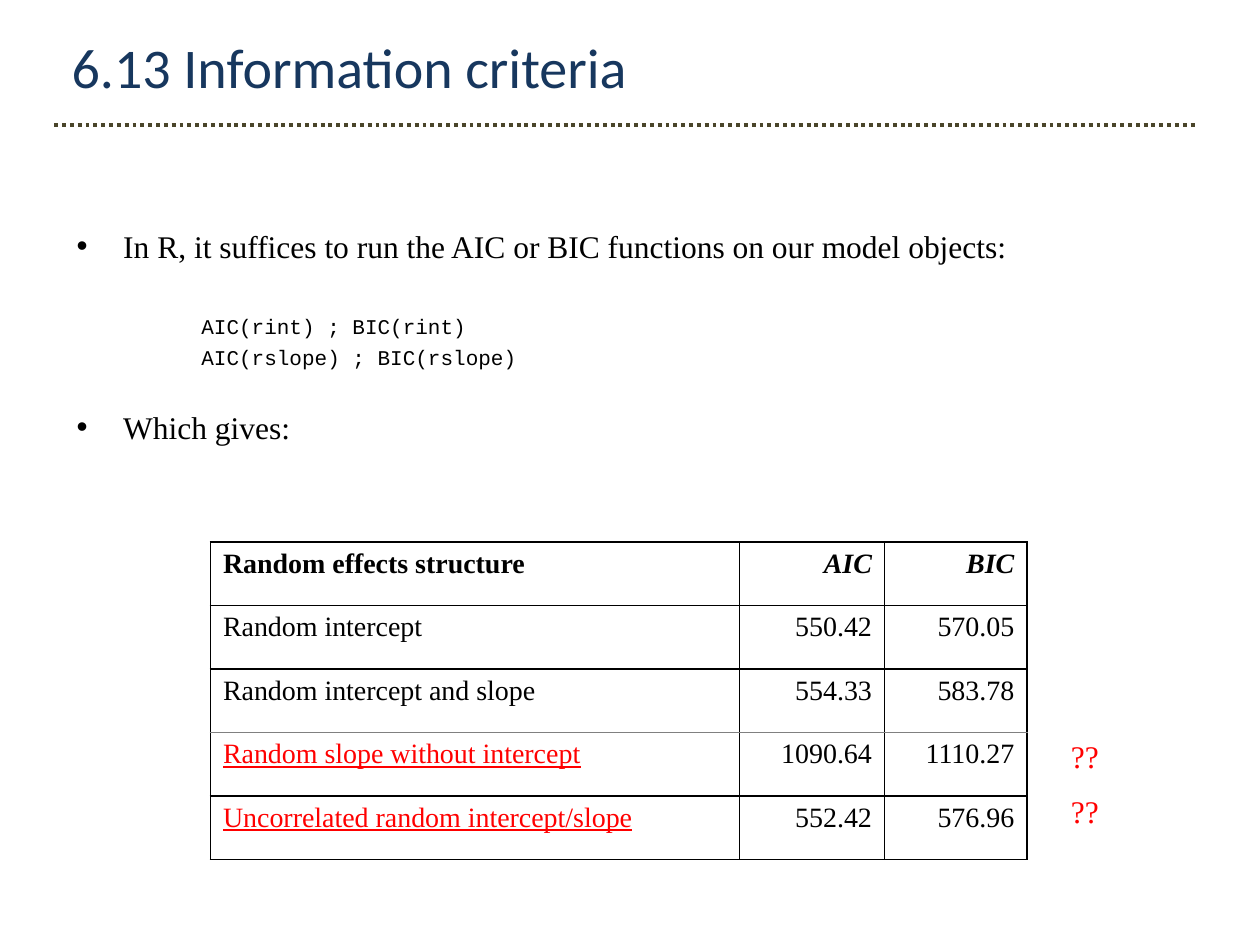
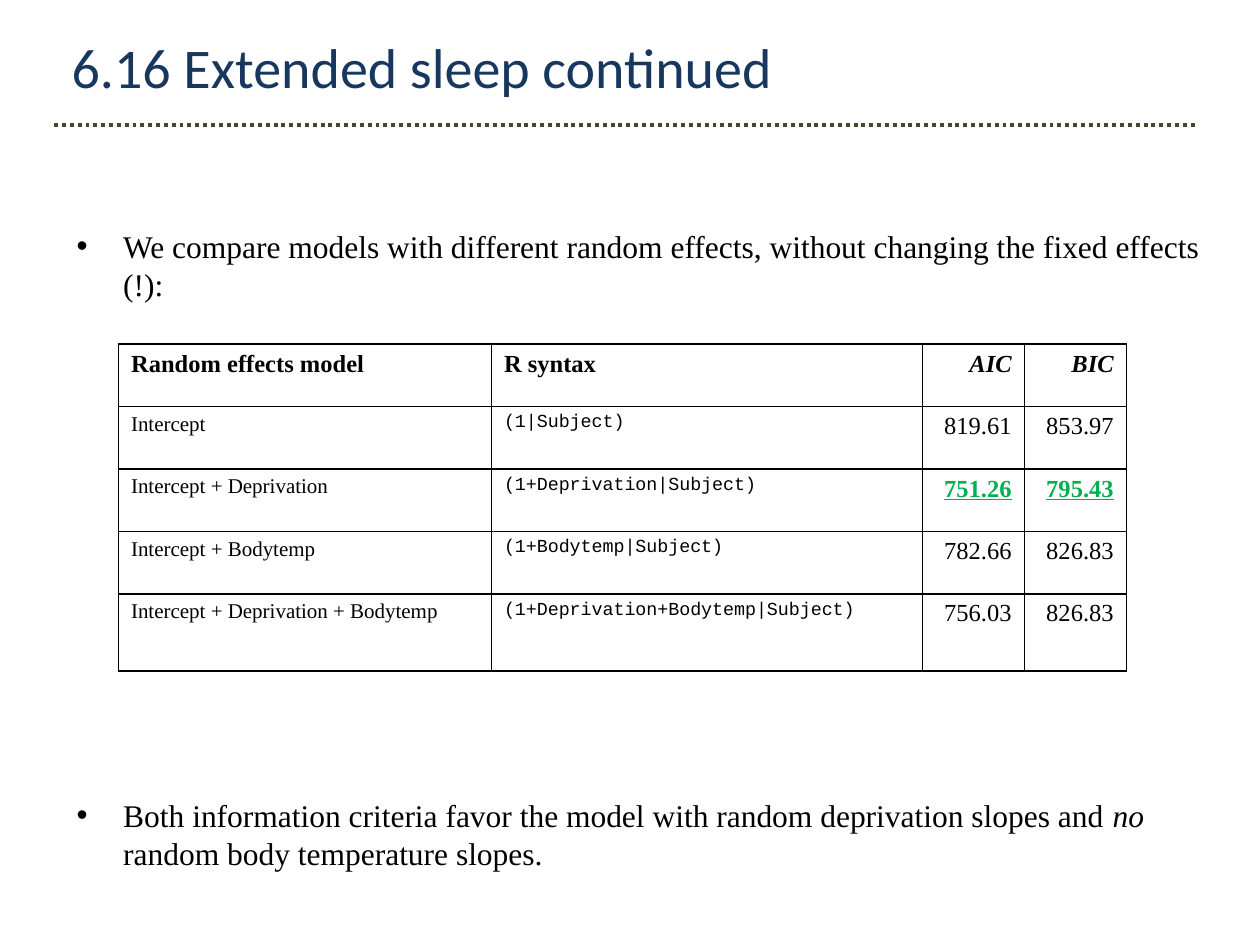
from dataclasses import dataclass, field

from lxml import etree
from pptx import Presentation, util as u
from pptx.dml.color import RGBColor
from pptx.enum import dml, shapes, text
from pptx.oxml import ns

SERIF, CODE = "Times New Roman", "Courier New"


def style(name, size, color="000000", **extra):
    """Describe a text format as font attributes plus a colour."""
    return {"name": name, "size": u.Pt(size), "color": color, **extra}


@dataclass(frozen=True)
class Theme:
    title: dict = field(default_factory=lambda: style("Calibri", 32, "17375E"))
    body: dict = field(default_factory=lambda: style(SERIF, 18))
    code: dict = field(default_factory=lambda: style(CODE, 12))
    query: dict = field(default_factory=lambda: style(SERIF, 18, "FF0000"))
    cell: dict = field(default_factory=lambda: style(SERIF, 16))
    number: dict = field(default_factory=lambda: style(SERIF, 14))
    label: dict = field(default_factory=lambda: style(SERIF, 12))
    syntax: dict = field(default_factory=lambda: style(CODE, 10.5))
    doubtful: dict = field(default_factory=lambda: {"color": "FF0000", "underline": True})
    best: dict = field(default_factory=lambda: {"color": "00B050", "bold": True, "underline": True})
    rule: str = "4A452A"
    border: str = "000000"
    faint_border: str = "808080"
    border_width: float = 0.96


THEME = Theme()
HEADER = {"bold": True}
CRITERION = {"bold": True, "italic": True}


# Grid of 100 columns by 75 rows
def grid(*steps):
    return [u.Inches(step / 10) for step in steps]


# Text
def add_run(paragraph, content, form):
    run = paragraph.add_run()
    run.text = content
    for attribute, value in form.items():
        if attribute == "color":
            run.font.color.rgb = RGBColor.from_string(value)
        else:
            setattr(run.font, attribute, value)


def add_text_box(slide, place, wrap=True, anchor=text.MSO_ANCHOR.TOP):
    frame = slide.shapes.add_textbox(*grid(*place)).text_frame
    frame.word_wrap = wrap
    frame.vertical_anchor = anchor
    return frame


def add_paragraph(frame, runs, space_before, left, hanging=0, bullet=False):
    first = frame.paragraphs[0]
    paragraph = frame.add_paragraph() if first.runs else first
    paragraph.space_before = u.Pt(space_before)
    properties = paragraph._p.get_or_add_pPr()
    properties.set("marL", str(u.Inches(left)))
    properties.set("indent", str(-u.Inches(hanging)))
    if bullet:
        etree.SubElement(properties, ns.qn("a:buFont")).set("typeface", "Arial")
        etree.SubElement(properties, ns.qn("a:buChar")).set("char", "•")
    for content, form in runs:
        add_run(paragraph, content, form)


def add_bullet(frame, *runs, space_before=3.6):
    add_paragraph(frame, [(content, {**THEME.body, **extra}) for content, extra in runs],
                  space_before, left=0.38, hanging=0.37, bullet=True)


def add_code_line(frame, content, space_before=3.5):
    add_paragraph(frame, [(content, THEME.code)], space_before, left=1)


def add_query(slide, row):
    frame = add_text_box(slide, (84, row, 4.2, 4), wrap=False)
    add_run(frame.paragraphs[0], "??", THEME.query)


# Title with its dotted rule
def add_titled_slide(presentation, title):
    slide = presentation.slides.add_slide(presentation.slide_layouts[6])
    frame = add_text_box(slide, (4.7, 2.1, 89.4, 6.3), anchor=text.MSO_ANCHOR.MIDDLE)
    add_run(frame.paragraphs[0], title, THEME.title)
    rule = slide.shapes.add_connector(shapes.MSO_CONNECTOR.STRAIGHT, *grid(4.3, 9.9, 94.9, 9.9))
    rule.line.color.rgb = RGBColor.from_string(THEME.rule)
    rule.line.width = u.Pt(2.25)
    rule.line.dash_style = dml.MSO_LINE.ROUND_DOT
    etree.SubElement(rule._element.spPr, ns.qn("a:effectLst"))
    return slide


# Tables
def set_borders(cell, colors):
    """Draw the left, right, top and bottom borders; the fill must follow them."""
    properties = cell._tc.get_or_add_tcPr()
    for side, color in zip(("lnL", "lnR", "lnT", "lnB"), colors):
        line = etree.SubElement(properties, ns.qn("a:" + side), w=str(u.Pt(THEME.border_width)))
        fill = etree.SubElement(line, ns.qn("a:solidFill"))
        etree.SubElement(fill, ns.qn("a:srgbClr"), val=color)


def add_criteria_table(slide, origin, widths, heights, rows, forms, accents, faint_after=None):
    """The last two columns hold AIC and BIC; forms gives one text format per column."""
    size = (sum(widths), sum(heights))
    table = slide.shapes.add_table(len(rows), len(widths), *grid(*origin, *size)).table
    table.first_row = table.horz_banding = False
    for column, width in zip(table.columns, grid(*widths)):
        column.width = width
    for row, height in zip(table.rows, grid(*heights)):
        row.height = height
    for r, values in enumerate(rows):
        top, bottom = (THEME.faint_border if edge == faint_after else THEME.border
                       for edge in (r - 1, r))
        for c, value in enumerate(values):
            cell = table.cell(r, c)
            numeric = c >= len(values) - 2
            form = {**forms[c], **accents.get((r, c), {})}
            if r == 0:
                form = {**forms[-1], **(CRITERION if numeric else HEADER)}
            paragraph = cell.text_frame.paragraphs[0]
            paragraph.alignment = text.PP_ALIGN.RIGHT if numeric else text.PP_ALIGN.LEFT
            add_run(paragraph, value, form)
            set_borders(cell, (THEME.border, THEME.border, top, bottom))
            cell.fill.background()


# Slides
def build_information_criteria(presentation):
    slide = add_titled_slide(presentation, "6.13 Information criteria")
    frame = add_text_box(slide, (5, 17.5, 90, 50.7))
    add_bullet(frame, ("In R, it suffices to run the AIC or BIC functions on our model objects:", {}))
    add_code_line(frame, "AIC(rint) ; BIC(rint)", space_before=28)
    add_code_line(frame, "AIC(rslope) ; BIC(rslope)")
    add_bullet(frame, ("Which gives:", {}), space_before=21.5)
    rows = [
        ("Random effects structure", "AIC", "BIC"),
        ("Random intercept", "550.42", "570.05"),
        ("Random intercept and slope", "554.33", "583.78"),
        ("Random slope without intercept", "1090.64", "1110.27"),
        ("Uncorrelated random intercept/slope", "552.42", "576.96"),
    ]
    add_criteria_table(slide, (16.7, 43), (42, 11.5, 11.3), [5.04] * len(rows), rows,
                       [THEME.cell] * 3, {(r, 0): THEME.doubtful for r in (3, 4)}, faint_after=2)
    for row in (58, 62.4):
        add_query(slide, row)


def build_extended_sleep(presentation):
    slide = add_titled_slide(presentation, "6.16 Extended sleep continued")
    frame = add_text_box(slide, (5, 17.5, 93, 53.1))
    add_bullet(frame, ("We compare models with different random effects, "
                       "without changing the fixed effects (!):", {}))
    add_bullet(frame,
               ("Both information criteria favor the model with random deprivation slopes and ", {}),
               ("no ", {"italic": True}),
               ("random body temperature slopes.", {}), space_before=282)
    rows = [
        ("Random effects model", "R syntax", "AIC", "BIC"),
        ("Intercept", "(1|Subject)", "819.61", "853.97"),
        ("Intercept + Deprivation", "(1+Deprivation|Subject)", "751.26", "795.43"),
        ("Intercept + Bodytemp", "(1+Bodytemp|Subject)", "782.66", "826.83"),
        ("Intercept + Deprivation + Bodytemp", "(1+Deprivation+Bodytemp|Subject)",
         "756.03", "826.83"),
    ]
    add_criteria_table(slide, (9.4, 27.3), (29.6, 34.2, 8.1, 8.1), [4.96] * 4 + [6.14], rows,
                       (THEME.label, THEME.syntax, THEME.number, THEME.number),
                       {(2, c): THEME.best for c in (2, 3)})


def main():
    presentation = Presentation()
    presentation.slide_width, presentation.slide_height = grid(100, 75)
    build_information_criteria(presentation)
    build_extended_sleep(presentation)
    presentation.save("out.pptx")


if __name__ == "__main__":
    main()
